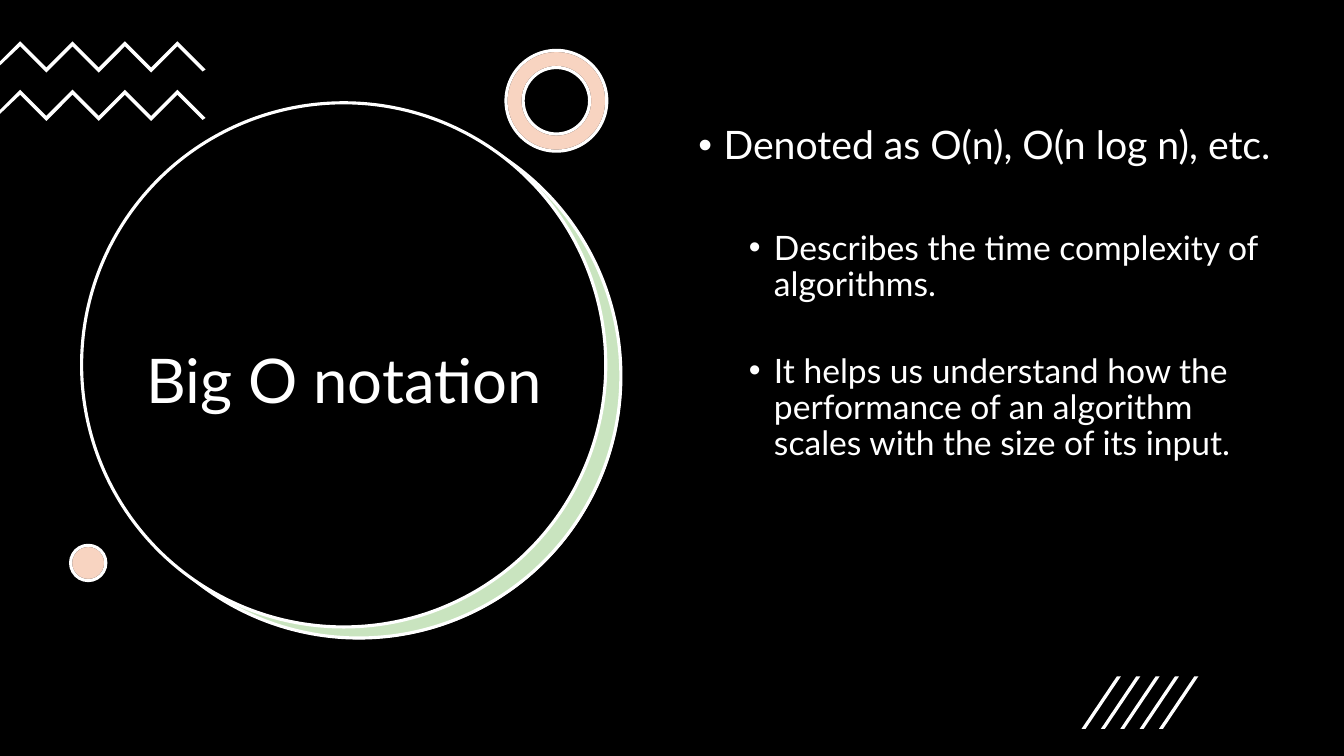
from dataclasses import dataclass

from lxml import etree
from pptx import Presentation
from pptx.dml.color import RGBColor
from pptx.enum.shapes import MSO_SHAPE
from pptx.enum.text import MSO_ANCHOR, MSO_AUTO_SIZE, PP_ALIGN
from pptx.oxml.ns import qn
from pptx.util import Inches, Pt

OVAL, RING, RECT = MSO_SHAPE.OVAL, MSO_SHAPE.DONUT, MSO_SHAPE.RECTANGLE
MIDDLE, CENTER = MSO_ANCHOR.MIDDLE, PP_ALIGN.CENTER
FIXED = MSO_AUTO_SIZE.NONE
CELL = Inches(0.1)
COLS, ROWS = 133.33, 75


@dataclass(frozen=True)
class Theme:
    font: str = "Lato"
    black: str = "000000"
    white: str = "FFFFFF"
    green: str = "4EA72E"
    peach: str = "E97132"
    tint: int = 30
    line: float = 2.25
    title: int = 44
    lead: int = 28
    point: int = 24


@dataclass(frozen=True)
class Form:
    kind: MSO_SHAPE
    col: float
    row: float
    wide: float
    high: float
    fill: str
    line: str = ""
    alpha: int = 100


@dataclass(frozen=True)
class Point:
    text: str
    size: int
    level: int
    indent: float
    gap: int


LOOK = Theme()
FORMS = [
    Form(RECT, 0, 0, COLS, ROWS, LOOK.black),
    Form(OVAL, 9.7, 11.4, 52, 52, LOOK.white),
    Form(OVAL, 9.6, 11.3, 52, 52, LOOK.green, LOOK.white, LOOK.tint),
    Form(OVAL, 8.1, 10.2, 52, 52, LOOK.black, LOOK.white),
    Form(RING, 50.2, 5, 10, 10, LOOK.white, LOOK.black),
    Form(RING, 50.2, 5, 10, 10, LOOK.peach, LOOK.white, LOOK.tint),
    Form(OVAL, 7, 54.1, 3.5, 3.5, LOOK.white, LOOK.black),
    Form(OVAL, 7, 54.1, 3.5, 3.5, LOOK.peach, LOOK.white, LOOK.tint),
]
POINTS = [
    Point("Denoted as O(n), O(n log n), etc.", LOOK.lead, 0, 2.5, 0),
    Point("Describes the time complexity of algorithms.", LOOK.point, 1, 7.5, 45),
    Point(
        "It helps us understand how the performance of an algorithm "
        "scales with the size of its input.",
        LOOK.point, 1, 7.5, 36,
    ),
]


def grid(cells: float) -> int:
    return round(cells * CELL)


def paint(shape, fill: str, line: str = "", alpha: int = 100) -> None:
    shape.shadow.inherit = False
    shape.fill.solid()
    shape.fill.fore_color.rgb = RGBColor.from_string(fill)
    if alpha < 100:
        tone = shape.fill._xPr.find(f"{qn('a:solidFill')}/{qn('a:srgbClr')}")
        etree.SubElement(tone, qn("a:alpha")).set("val", str(alpha * 1000))
    if line:
        shape.line.color.rgb = RGBColor.from_string(line)
        shape.line.width = Pt(LOOK.line)
    else:
        shape.line.fill.background()


def draw_form(slide, form: Form) -> None:
    box = [grid(n) for n in (form.col, form.row, form.wide, form.high)]
    shape = slide.shapes.add_shape(form.kind, *box)
    if form.kind == RING:
        shape.adjustments[0] = 0.17
    paint(shape, form.fill, form.line, form.alpha)


def draw_path(slide, spots: list[tuple[float, float]]) -> None:
    ends = [(grid(x), grid(y)) for x, y in spots]
    pen = slide.shapes.build_freeform(*ends[0])
    pen.add_line_segments(ends[1:])
    paint(pen.convert_to_shape(), LOOK.white)


def draw_wave(slide, top: float) -> None:
    crest = [(2 + 2.6 * i, top + 2.6 * (i % 2)) for i in range(7)]
    under = [(x, y + 0.5) for x, y in reversed(crest)]
    tip = [(20.4, top + 2.8), (20.1, top + 3)]
    draw_path(slide, crest + tip + under + [(0, top + 2.4), (0, top + 2)])


def draw_slash(slide, col: float) -> None:
    top, foot = 67.1, 72.3
    draw_path(slide, [(col + 0.4, foot), (col, foot), (col + 3.5, top), (col + 3.9, top)])


def style(para, size: int) -> None:
    para.line_spacing = 0.9
    para.font.name = LOOK.font
    para.font.size = Pt(size)
    para.font.color.rgb = RGBColor.from_string(LOOK.white)


def write_title(slide, text: str) -> None:
    title = slide.shapes.title
    title.left, title.top = grid(12.1), grid(20.5)
    title.width, title.height = grid(44.1), grid(35.2)
    frame = title.text_frame
    frame.text = text
    frame.word_wrap = True
    frame.auto_size = FIXED
    frame.vertical_anchor = MIDDLE
    para = frame.paragraphs[0]
    para.alignment = CENTER
    style(para, LOOK.title)
    tree = title._element.getparent()
    tree.remove(title._element)
    tree.append(title._element)


def write_points(slide) -> None:
    box = slide.shapes.add_textbox(grid(68.3), grid(12), grid(59.8), grid(47.6))
    frame = box.text_frame
    frame.word_wrap = True
    for i, point in enumerate(POINTS):
        para = frame.add_paragraph() if i else frame.paragraphs[0]
        para.text = point.text
        para.level = point.level
        style(para, point.size)
        para.space_before = Pt(point.gap)
        props = para._p.get_or_add_pPr()
        props.set("marL", str(grid(point.indent)))
        props.set("indent", str(grid(-2.5)))
        face = etree.Element(qn("a:buFont"), typeface="Arial")
        mark = etree.Element(qn("a:buChar"), char="•")
        run = props.find(qn("a:defRPr"))
        run.addprevious(face)
        run.addprevious(mark)


def main() -> None:
    deck = Presentation()
    deck.slide_width, deck.slide_height = grid(COLS), grid(ROWS)
    slide = deck.slides.add_slide(deck.slide_layouts[5])
    for form in FORMS[:4]:
        draw_form(slide, form)
    write_title(slide, "Big O notation")
    for top in (4.1, 8.9):
        draw_wave(slide, top)
    for form in FORMS[4:]:
        draw_form(slide, form)
    write_points(slide)
    for i in range(5):
        draw_slash(slide, 107.3 + 1.92 * i)
    deck.save("out.pptx")


if __name__ == "__main__":
    main()
